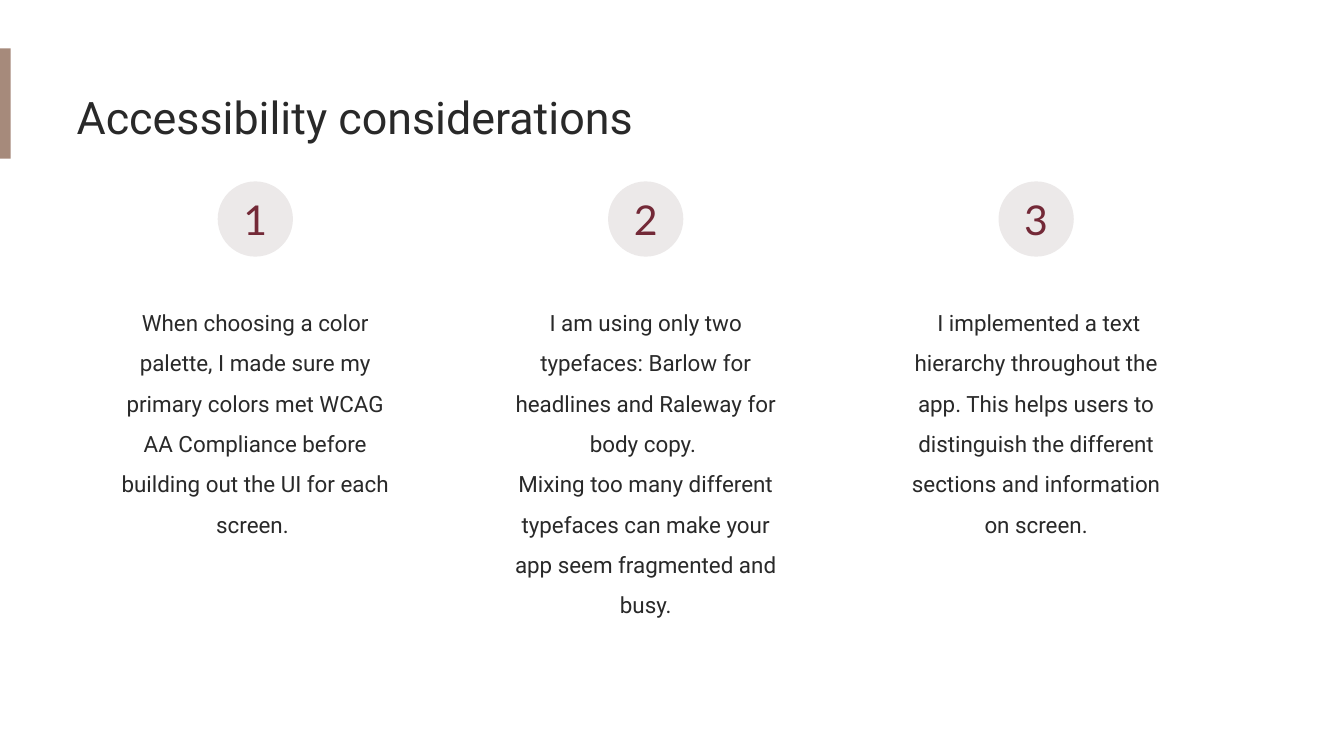
"""Build the slide on accessibility considerations."""
from dataclasses import dataclass

from pptx import Presentation
from pptx.dml.color import RGBColor
from pptx.enum.shapes import MSO_SHAPE
from pptx.enum.text import MSO_ANCHOR, MSO_AUTO_SIZE, PP_ALIGN
from pptx.shapes.autoshape import Shape
from pptx.slide import Slide
from pptx.text.text import TextFrame
from pptx.util import Inches, Pt

RECT, OVAL = MSO_SHAPE.RECTANGLE, MSO_SHAPE.OVAL
LEFT, CENTER = PP_ALIGN.LEFT, PP_ALIGN.CENTER
TOP, MIDDLE = MSO_ANCHOR.TOP, MSO_ANCHOR.MIDDLE
GROW = MSO_AUTO_SIZE.SHAPE_TO_FIT_TEXT


@dataclass(frozen=True)
class Style:
    font: str
    size: int
    color: str
    align: PP_ALIGN = CENTER
    spacing: float = 1.0


@dataclass(frozen=True)
class Theme:
    accent: str = "A68A7B"
    badge: str = "ECE9E9"
    title: Style = Style("Roboto", 24, "292929", LEFT)
    body: Style = Style("Roboto", 12, "292929", spacing=1.5)
    number: Style = Style("Lato", 22, "732937")


@dataclass(frozen=True)
class Box:
    left: float
    top: float
    width: float
    height: float


@dataclass(frozen=True)
class Point:
    height: float
    lines: tuple[str, ...]


THEME = Theme()
PAGE = 10
FIRST, LAST, WIDTH = 0.78, 6.59, 2.24
BADGE = 0.56
POINTS = (
    Point(1.92, (
        "When choosing a color palette, I made sure my primary colors met "
        "WCAG AA Compliance before building out the UI for each screen. ",
    )),
    Point(2.52, (
        "I am using only two typefaces: Barlow for headlines and Raleway "
        "for body copy. ",
        "Mixing too many different typefaces can make your app seem "
        "fragmented and busy.",
    )),
    Point(1.92, (
        " I implemented a text hierarchy throughout the app. This helps users "
        "to distinguish the different sections and information on screen.",
    )),
)


def place(box: Box) -> tuple[Inches, Inches, Inches, Inches]:
    return Inches(box.left), Inches(box.top), Inches(box.width), Inches(box.height)


def write(frame: TextFrame, lines: tuple[str, ...], style: Style,
          inset: float, anchor: MSO_ANCHOR) -> None:
    frame.word_wrap = True
    frame.vertical_anchor = anchor
    frame.margin_left = frame.margin_right = Inches(inset)
    frame.margin_top = frame.margin_bottom = Inches(inset)
    for index, line in enumerate(lines):
        para = frame.add_paragraph() if index else frame.paragraphs[0]
        para.alignment = style.align
        para.line_spacing = style.spacing
        run = para.add_run()
        run.text = line
        run.font.name = style.font
        run.font.size = Pt(style.size)
        run.font.color.rgb = RGBColor.from_string(style.color)


def add_form(slide: Slide, kind: MSO_SHAPE, box: Box, color: str) -> Shape:
    shape = slide.shapes.add_shape(kind, *place(box))
    shape.shadow.inherit = False
    shape.fill.solid()
    shape.fill.fore_color.rgb = RGBColor.from_string(color)
    shape.line.fill.background()
    return shape


def add_text(slide: Slide, box: Box, lines: tuple[str, ...],
             style: Style) -> TextFrame:
    frame = slide.shapes.add_textbox(*place(box)).text_frame
    write(frame, lines, style, 0.1, TOP)
    frame.auto_size = GROW
    return frame


def add_point(slide: Slide, index: int, point: Point) -> None:
    left = FIRST + index * (LAST - FIRST) / (len(POINTS) - 1)
    add_text(slide, Box(left, 2.1, WIDTH, point.height), point.lines, THEME.body)
    spot = Box(left + (WIDTH - BADGE) / 2, 1.35, BADGE, BADGE)
    badge = add_form(slide, OVAL, spot, THEME.badge)
    write(badge.text_frame, (str(index + 1),), THEME.number, 0, MIDDLE)


def main() -> None:
    deck = Presentation()
    deck.slide_width, deck.slide_height = Inches(PAGE), Inches(PAGE * 9 / 16)
    slide = deck.slides.add_slide(deck.slide_layouts[6])
    add_form(slide, RECT, Box(0, 0.36, 0.08, 0.82), THEME.accent)
    title = add_text(slide, Box(0.57, 0.57, 7.66, 0.61),
                     ("Accessibility considerations",), THEME.title)
    title.margin_left = Inches(0)
    for index, point in enumerate(POINTS):
        add_point(slide, index, point)
    deck.save("out.pptx")


if __name__ == "__main__":
    main()
